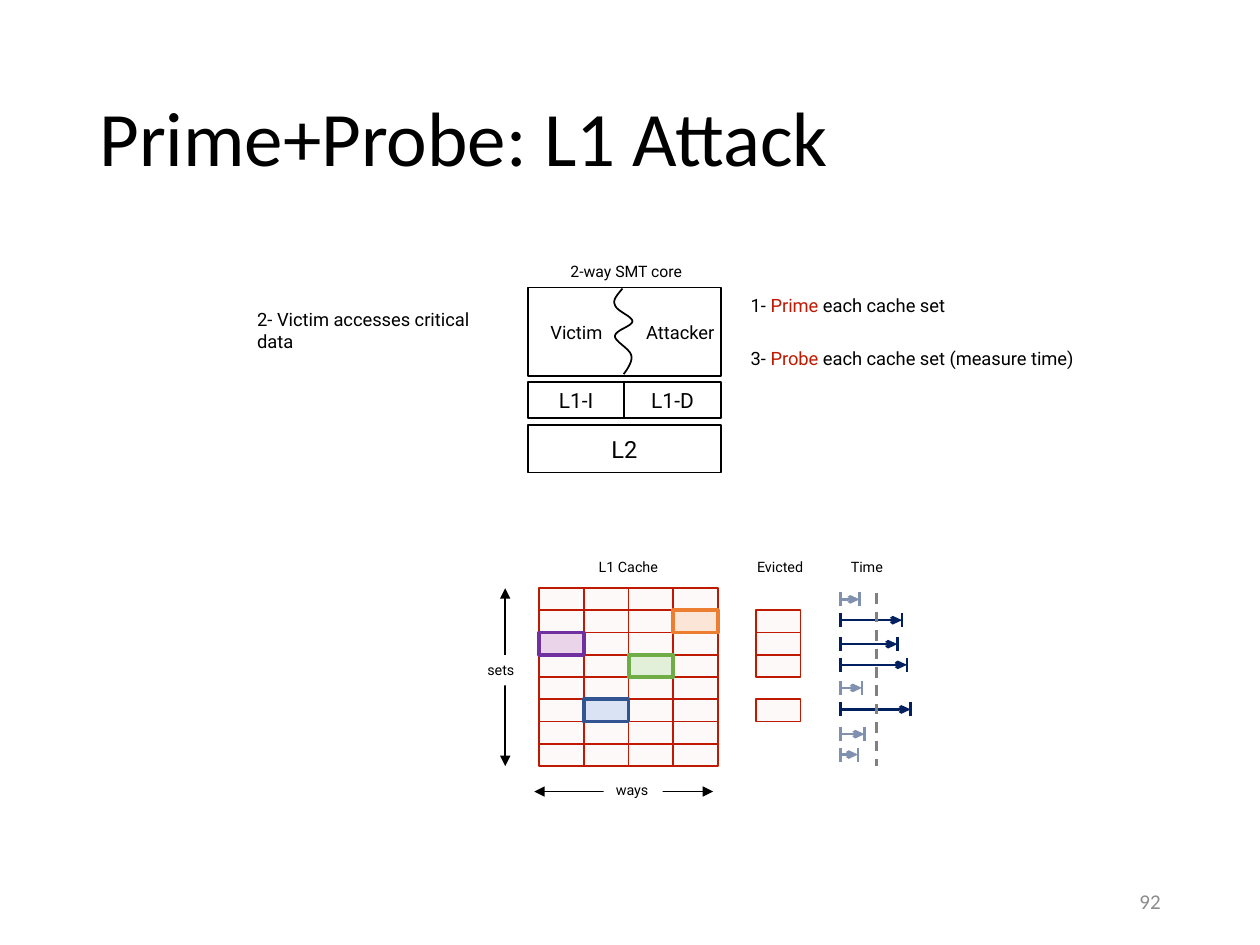
"""Build the Prime+Probe L1 attack slide."""
from dataclasses import dataclass

from lxml import etree
from pptx import Presentation
from pptx.dml.color import RGBColor
from pptx.enum import dml, shapes, text
from pptx.oxml.ns import qn
from pptx.util import Pt


@dataclass(frozen=True)
class Theme:
    """Hold colours, fonts and type sizes."""
    black: str = "000000"
    white: str = "FFFFFF"
    red: str = "BF1901"
    cell: str = "FDF9F9"
    fast: str = "8090AF"
    slow: str = "002060"
    grey: str = "808080"
    number: str = "8C8C8C"
    heading_font: str = "Calibri"
    body_font: str = "Roboto"
    title: float = 44
    level2: float = 13.5
    level1: float = 12
    body: float = 10.5
    core: float = 9
    small: float = 8.2


THEME = Theme()
LEFT, CENTER, RIGHT = text.PP_ALIGN.LEFT, text.PP_ALIGN.CENTER, text.PP_ALIGN.RIGHT
TOP, MIDDLE = text.MSO_ANCHOR.TOP, text.MSO_ANCHOR.MIDDLE

# left, top, width, height, text, size
CORE_BLOCKS = [
    (301.7, 242.9, 110.2, 27.1, "L2", THEME.level2),
    (301.7, 218.4, 55.1, 20.4, "L1-I", THEME.level1),
    (356.8, 218.4, 55.1, 20.4, "L1-D", THEME.level1),
    (301.7, 164.2, 110.2, 50.7, "", THEME.body),
]
THREADS = [(357.8, "Attacker"), (298.5, "Victim")]
WAVE_START = (355.7, 164.9)
WAVE_CURVES = [
    ((352.8, 168.5), (349.9, 171.4), (351.4, 174.2)),
    ((352.1, 177.8), (361.4, 180.7), (361.4, 183.6)),
    ((361.4, 186.5), (351.4, 188.6), (351.4, 192.2)),
    ((351.4, 195.1), (360, 199.4), (360.7, 203)),
    ((362.2, 206.6), (356.4, 213.8), (356.4, 213.8)),
]
STEPS = [
    (421.9, 164.2, 133.2, [("1-", THEME.black), (" Prime", THEME.red),
                           (" each cache set", THEME.black)]),
    (139.9, 178.6, 157.7, [("2- Victim accesses critical data", THEME.black)]),
    (421.9, 194.4, 199.4, [("3-", THEME.black), (" Probe ", THEME.red),
                           ("each cache set (measure time)", THEME.black)]),
]
# left, top, width, text, size, alignment
CAPTIONS = [
    (317.5, 146.2, 80.6, "2-way SMT core", THEME.core, CENTER),
    (333.9, 315.4, 50.4, "L1 Cache", THEME.small, CENTER),
    (425.5, 315.4, 41.8, "Evicted", THEME.small, LEFT),
    (479.1, 315.4, 33.1, "Time", THEME.small, LEFT),
]
# start, end, label left, top, width, label
AXES = [
    ((305.3, 452.3), (407.5, 452.3), 344.9, 442.8, 33.8, "ways"),
    ((288.7, 336.2), (288.7, 437.8), 271.4, 374.4, 35.3, "sets"),
]
SETS, WAYS = 8, 4
CACHE_LEFT, CACHE_TOP, CELL_WIDTH, CELL_HEIGHT = 308.2, 336, 25.5, 12.72
EVICTED_LEFT, EVICTED_SETS = 432, (1, 2, 3, 5)
# (set, way): fill, line
VICTIM_LINES = {
    (3, 2): ("E2F0D9", "70AD47"),
    (5, 1): ("DAE3F3", "325491"),
    (1, 3): ("FBE5D6", "ED7D31"),
    (2, 0): ("E9D4EA", "7030A0"),
}
TIME_LEFT, TICK, THRESHOLD = 480.4, 4, 500.9
# height on the page, length
TIMES = [(342.5, 10.8), (354.4, 35.1), (368.1, 32.4), (379.9, 37.9),
         (393.1, 12.2), (405.4, 40), (419.5, 13.7), (431.2, 9.9)]


def colour(value):
    """Turn a hex string into a colour."""
    return RGBColor.from_string(value)


def write(box, spans, size, align=LEFT, anchor=MIDDLE, wrap=True, font=THEME.body_font):
    """Write coloured spans as one paragraph."""
    frame = box.text_frame
    frame.word_wrap, frame.vertical_anchor = wrap, anchor
    para = frame.paragraphs[0]
    para.alignment = align
    for words, shade in spans:
        span = para.add_run()
        span.text = words
        span.font.size, span.font.name = Pt(size), font
        span.font.color.rgb = colour(shade)
    return para


def add_text(page, place, spans, size, **style):
    """Add a text box and return its paragraph."""
    return write(page.shapes.add_textbox(*map(Pt, place)), spans, size, **style)


def add_block(page, place, fill, line=None, weight=1):
    """Add a filled rectangle."""
    block = page.shapes.add_shape(shapes.MSO_SHAPE.RECTANGLE, *map(Pt, place))
    block.shadow.inherit = False
    block.fill.solid()
    block.fill.fore_color.rgb = colour(fill)
    if line:
        block.line.color.rgb = colour(line)
        block.line.width = Pt(weight)
    else:
        block.line.fill.background()
    return block


def add_cell(page, left, row, fill=THEME.cell, line=THEME.red, weight=1):
    """Add a cache cell on the row of its set."""
    add_block(page, (left, CACHE_TOP + row * CELL_HEIGHT, CELL_WIDTH, CELL_HEIGHT),
              fill, line, weight)


def add_line(page, start, end, shade, weight, head=None, tail=None, breadth="med"):
    """Add a straight line with optional arrowheads."""
    line = page.shapes.add_connector(shapes.MSO_CONNECTOR.STRAIGHT, *map(Pt, (*start, *end)))
    line.line.color.rgb, line.line.width = colour(shade), Pt(weight)
    for tag, kind in (("a:headEnd", head), ("a:tailEnd", tail)):
        if kind:
            etree.SubElement(line.line._get_or_add_ln(), qn(tag), type=kind, w=breadth)
    etree.SubElement(line._element.spPr, qn("a:effectLst"))
    return line


def add_wave(page, steps=12):
    """Draw the curved border between the two threads."""
    points, start = [], WAVE_START
    for first, second, end in WAVE_CURVES:
        for t in (step / steps for step in range(1, steps + 1)):
            weights = ((1 - t) ** 3, 3 * t * (1 - t) ** 2, 3 * t * t * (1 - t), t ** 3)
            corners = zip(start, first, second, end)
            points.append([Pt(sum(w * c for w, c in zip(weights, axis))) for axis in corners])
        start = end
    builder = page.shapes.build_freeform(*map(Pt, WAVE_START))
    builder.add_line_segments(points, close=False)
    wave = builder.convert_to_shape()
    wave.shadow.inherit = False
    wave.fill.background()
    wave.line.color.rgb, wave.line.width = colour(THEME.black), Pt(1)


def draw_core(page):
    """Draw the core, its caches and the attack steps."""
    for *place, label, size in CORE_BLOCKS:
        block = add_block(page, place, THEME.white, THEME.black)
        if label:
            write(block, [(label, THEME.black)], size, align=CENTER)
    for left, label in THREADS:
        add_text(page, (left, 179.5, 61.9, 20.2), [(label, THEME.black)], THEME.body, align=CENTER)
    add_wave(page)
    for left, top, width, spans in STEPS:
        add_text(page, (left, top, width, 20.2), spans, THEME.body)


def draw_cache(page):
    """Draw the cache grid, its axes and the evicted lines."""
    for start, end, left, top, width, label in AXES:
        add_line(page, start, end, THEME.black, 1, "triangle", "triangle")
        block = add_block(page, (left, top, width, 17.3), THEME.white)
        write(block, [(label, THEME.black)], THEME.small, anchor=TOP, wrap=False)
    for row in range(SETS):
        for way in range(WAYS):
            if (row, way) not in VICTIM_LINES:
                add_cell(page, CACHE_LEFT + way * CELL_WIDTH, row)
    for row in EVICTED_SETS:
        add_cell(page, EVICTED_LEFT, row)
    for (row, way), (fill, line) in VICTIM_LINES.items():
        add_cell(page, CACHE_LEFT + way * CELL_WIDTH, row, fill, line, 2.25)


def draw_times(page):
    """Draw the probe time of each set and the threshold."""
    for y, length in TIMES:
        end = TIME_LEFT + length
        shade = THEME.slow if end > THRESHOLD else THEME.fast
        add_line(page, (TIME_LEFT, y), (end, y), shade, 1.5, tail="arrow", breadth="sm")
        for x in (TIME_LEFT, end):
            add_line(page, (x, y + TICK), (x, y - TICK), shade, 1.5)
    limit = add_line(page, (THRESHOLD, 339.1), (THRESHOLD, 437.8), THEME.grey, 1.5)
    limit.line.dash_style = dml.MSO_LINE.DASH


def main():
    """Build and save the deck."""
    deck = Presentation()
    deck.slide_width, deck.slide_height = Pt(720), Pt(540)
    page = deck.slides.add_slide(deck.slide_layouts[6])
    title = add_text(page, (49.7, 28.8, 620.6, 104.4), [("Prime+Probe: L1 Attack", THEME.black)],
                     THEME.title, font=THEME.heading_font)
    title.line_spacing = 0.9
    draw_core(page)
    draw_cache(page)
    draw_times(page)
    for left, top, width, label, size, align in CAPTIONS:
        add_text(page, (left, top, width, 17.3), [(label, THEME.black)], size,
                 align=align, anchor=TOP, wrap=False)
    add_text(page, (508.3, 500.4, 162, 28.8), [("92", THEME.number)], THEME.level1,
             align=RIGHT, font=THEME.heading_font)
    deck.save("out.pptx")


if __name__ == "__main__":
    main()
